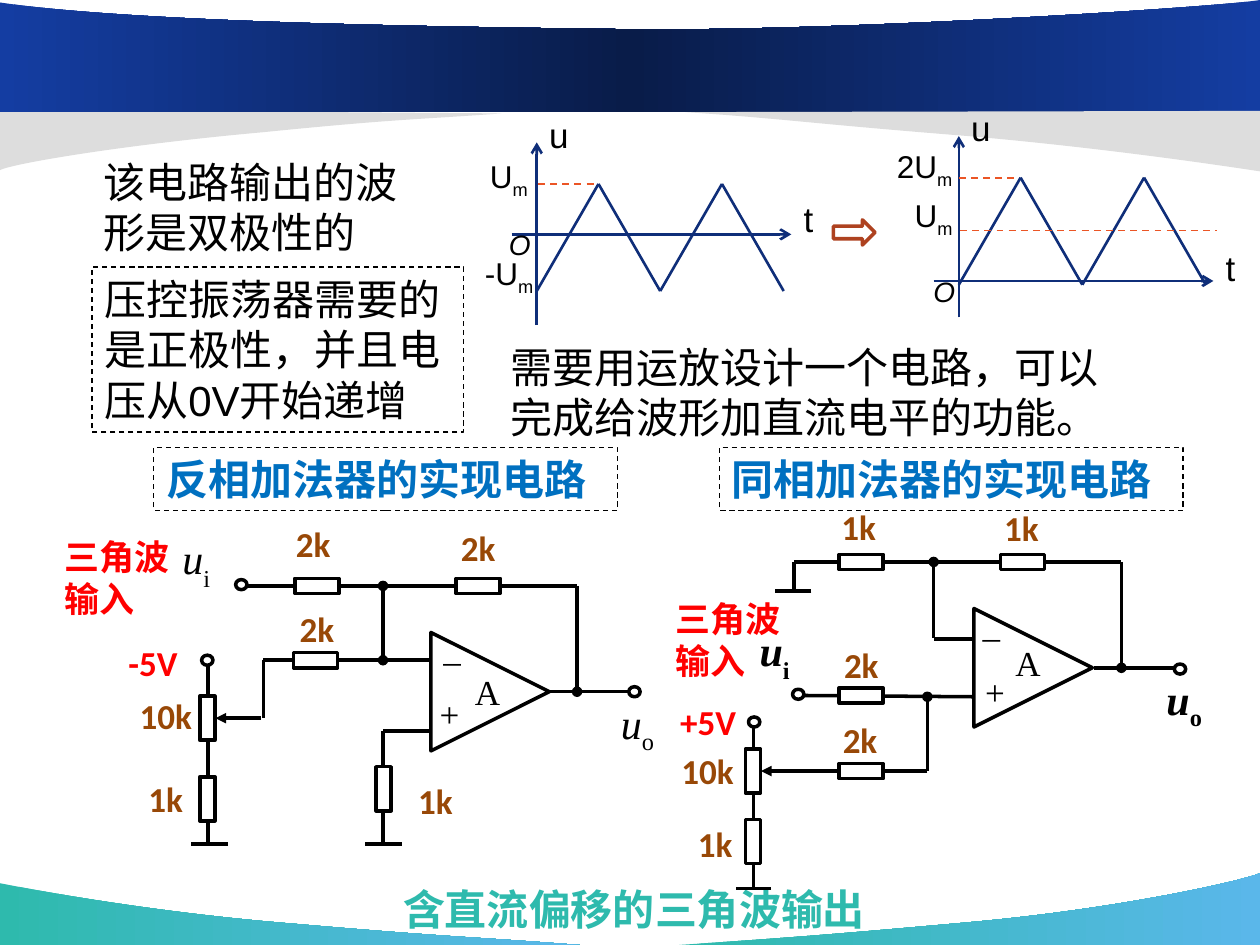
"""Build a slide on adding a DC offset to a triangle wave with two op-amp adders."""
from copy import deepcopy

from lxml import etree
from pptx import Presentation
from pptx import util as u
from pptx.dml import color
from pptx.enum import dml, shapes, text
from pptx.oxml import ns

THEME = dict(
    ink="000000", white="FFFFFF", navy="0F2E79", dash="EB5525", arrow="AE4220",
    red="FF0000", brown="984807", blue="0070C0", teal="2EBAAD", gray="DDDDDD",
    foot=("2EBAAD", "5AB7EA"), head=("143DA2", "0E2C74", "143DA2"), shade=-0.37,
    sans="Arial", label="Calibri", serif="Times New Roman",
    big=24, mid=20, small=18, tiny=16, thick=2, thin=0.75, fine=1, axis=1.5)
T = THEME

BANDS = [
    (T["foot"], (4.6, 7.5), [(3.84, 7.44, 3.58, 7.44, 2.32, 7.33),
                             (1.06, 7.23, 0.01, 7.01, 0, 7.01), (0, 7.5)]),
    (T["foot"], (5.39, 7.5), [(6.14, 7.45, 6.46, 7.43, 7.69, 7.32),
                              (8.92, 7.21, 9.9, 6.98, 10, 6.93), (10, 7.5)]),
    (T["gray"], (3.98, 0.9), [(3.31, 0.95, 3.18, 0.94, 2.08, 1.05),
                              (0.97, 1.15, 0.09, 1.3, 0, 1.35), (0, 0.87)]),
    (T["head"], (0, 0.89), [(10, 0.89), (10, 0), (9.64, 0.06, 6.53, 0.26, 4.87, 0.23),
                            (3.21, 0.21, 1.01, 0.17, 0, 0.02)]),
    (T["gray"], (5.44, 0.89), [(6.2, 0.94, 6.42, 0.98, 7.68, 1.08),
                               (8.94, 1.19, 9.99, 1.36, 10, 1.36), (10, 0.88)]),
]
NOTES = [
    ("该电路输出的波形是双极性的", (0.72, 1.19, 2.56, 0.91), {}),
    ("压控振荡器需要的是正极性，并且电压从0V开始递增", (0.73, 2.12, 2.95, 1.31), dict(frame=True)),
    ("需要用运放设计一个电路，可以完成给波形加直流电平的功能。", (3.95, 2.66, 4.95, 0.91), {}),
    ("含直流偏移的三角波输出", (3.1, 6.96, 4.18, 0.5), dict(tint="teal", bold=True)),
    ("反相加法器的实现电路", (1.22, 3.55, 3.68, 0.5), dict(tint="blue", bold=True, frame=True)),
    ("同相加法器的实现电路", (5.71, 3.55, 3.68, 0.5), dict(tint="blue", bold=True, frame=True)),
]
WAVES = [
    dict(x=4.26, zero=1.86, axis=(2.58, 1.13), swing=(2.31, 1.46), time=1.52, volt=0.85),
    dict(x=7.61, zero=2.23, axis=(2.52, 1.08), swing=(2.26, 1.41), time=1.91, volt=0.8),
]
LEVELS = [(4.27, 4.75, 1.46), (7.62, 9.66, 1.83), (7.61, 8.09, 1.41)]
MARKS = [
    ("U_m", (3.79, 1.2, 0.59, 0.4)), ("-U_m", (3.75, 1.97, 0.74, 0.4)),
    ("U_m", (7.16, 1.51, 0.59, 0.4)), ("2U_m", (7.02, 1.12, 0.74, 0.4)),
]
ZEROS = [(7.31, 2.13, 0.3, 0.37), (3.94, 1.76, 0.3, 0.37)]

LEFT = dict(
    wires=[((1.65, 5.28), (1.65, 6.7)), ((3.04, 5.8), (3.42, 5.8)), ((3.04, 5.8), (3.04, 6.7)),
           ((4.36, 5.49), (4.99, 5.49)), ((2.09, 5.24), (3.43, 5.24)),
           ((3.04, 4.65), (3.04, 5.24), "oval", "oval"), ((1.97, 4.65), (4.58, 4.65)),
           ((4.58, 4.65), (4.58, 5.49), None, "oval"), ((3.19, 6.7), (2.9, 6.7)),
           ((1.81, 6.7), (1.52, 6.7)), ((2.09, 5.24), (2.09, 5.7))],
    flat=[(2.33, 5.18), (3.62, 4.59), (2.34, 4.59)],
    tall=[(2.87, 6.2), (1.47, 6.28)], pot=(1.47, 5.64), tap=2.07,
    pins=[(4.99, 5.45), (1.87, 4.6), (1.6, 5.2)],
    amp=(3.42, 5.02), minus=(3.42, 5.02), plus=(3.39, 5.45), a=(3.67, 5.27),
    input=(0.41, 4.2), ui=(1.35, 4.18, 0.43, 0.5), uo=(4.83, 5.49, 0.5, 0.5), bold=False,
    volts=("-5V", 0.92, 5.04),
    ohms=[("1k", 3.22, 6.14), ("2k", 2.25, 4.1), ("2k", 3.56, 4.13), ("2k", 2.28, 4.77),
          ("1k", 1.08, 6.12), ("10k", 1.01, 5.46)])
RIGHT = dict(
    wires=[((5.98, 5.77), (5.98, 7.04)), ((7.41, 5.07), (7.79, 5.07)), ((8.68, 5.3), (9.32, 5.3)),
           ((6.38, 5.52), (7.74, 5.53)), ((7.41, 4.46), (7.41, 5.06), "oval"),
           ((6.3, 4.46), (8.9, 4.46)), ((8.9, 4.46), (8.9, 5.3), None, "oval"),
           ((6.44, 4.69), (6.15, 4.69)), ((6.12, 7.05), (5.84, 7.05)),
           ((6.3, 4.46), (6.3, 4.69)), ((7.36, 5.53), (7.36, 6.12), "oval")],
    flat=[(6.66, 5.46), (7.94, 4.4), (6.66, 4.4)], late=[(6.66, 6.06)],
    tall=[(5.8, 6.62)], pot=(5.8, 6.06), tap=7.36,
    pins=[(9.32, 5.27), (6.29, 5.47), (5.94, 5.69)],
    amp=(7.73, 4.83), minus=(7.7, 4.83), plus=(7.72, 5.27), a=(7.96, 5.04),
    input=(5.26, 4.69), ui=(5.93, 4.91, 0.45, 0.5), uo=(9.16, 5.3, 0.5, 0.5), bold=True,
    volts=("+5V", 5.3, 5.51),
    ohms=[("1k", 6.58, 3.96), ("2k", 6.6, 5.06), ("2k", 6.59, 5.65), ("1k", 7.87, 3.97),
          ("1k", 5.44, 6.48), ("10k", 5.31, 5.9)])


def rgb(code):
    return color.RGBColor.from_string(code)


def inch(vals):
    return [u.Inches(v) for v in vals]


def blend(fill, codes):
    fill.gradient()
    fill.gradient_angle = 0
    if len(codes) == 3:
        last = fill._xPr.findall(".//" + ns.qn("a:gs"))[-1]
        last.addprevious(deepcopy(last))
    for i, (stop, code) in enumerate(zip(fill.gradient_stops, codes)):
        stop.color.rgb = rgb(code)
        stop.position = i / (len(codes) - 1)
        if len(codes) == 3 and i == 1:
            stop.color.brightness = T["shade"]


def style(shape, fill=None, line=None, width=T["thick"], dash=False):
    shape.shadow.inherit = False
    if isinstance(fill, tuple):
        blend(shape.fill, fill)
    elif fill:
        shape.fill.solid()
        shape.fill.fore_color.rgb = rgb(fill)
    else:
        shape.fill.background()
    if line:
        shape.line.color.rgb = rgb(line)
        shape.line.width = u.Pt(width)
        if dash:
            shape.line.dash_style = dml.MSO_LINE.DASH
    else:
        shape.line.fill.background()
    return shape


def form(host, kind, box, **look):
    return style(host.add_shape(kind, *inch(box)), **look)


def outline(host, start, steps, **look):
    pen = host.build_freeform(*inch(start))
    pen.add_line_segments([inch(s[i:i + 2]) for s in steps for i in range(0, len(s), 2)], close=True)
    shape = pen.convert_to_shape()
    legs = iter(shape._element.findall(".//" + ns.qn("a:lnTo")))
    for step in steps:
        first, *rest = [next(legs) for _ in range(len(step) // 2)]
        if rest:
            curve = etree.Element(ns.qn("a:cubicBezTo"))
            first.addprevious(curve)
            for leg in (first, *rest):
                curve.append(leg[0])
                leg.getparent().remove(leg)
    return style(shape, **look)


def link(host, start, end, head=None, tail=None, tint="ink", width=T["thick"], dash=False):
    wire = host.add_connector(shapes.MSO_CONNECTOR.STRAIGHT, *inch(start), *inch(end))
    wire.line.color.rgb = rgb(T[tint])
    wire.line.width = u.Pt(width)
    if dash:
        wire.line.dash_style = dml.MSO_LINE.DASH
    props = wire._element.spPr
    for tag, tip in (("a:headEnd", head), ("a:tailEnd", tail)):
        if tip:
            etree.SubElement(props.find(ns.qn("a:ln")), ns.qn(tag), type=tip)
    etree.SubElement(props, ns.qn("a:effectLst"))
    return wire


def write(host, words, box, size="big", font="sans", tint="ink", bold=False, slant=False,
          drop=-25, wrap=True, middle=False, frame=False):
    if frame:
        shape = form(host, shapes.MSO_SHAPE.RECTANGLE, box, line=T["ink"], width=T["thin"], dash=True)
    else:
        shape = host.add_textbox(*inch(box))
    body = shape.text_frame
    body.word_wrap = wrap
    body.auto_size = text.MSO_AUTO_SIZE.SHAPE_TO_FIT_TEXT
    body.vertical_anchor = text.MSO_ANCHOR.MIDDLE if middle else text.MSO_ANCHOR.TOP
    para = body.paragraphs[0]
    para.alignment = text.PP_ALIGN.LEFT
    for i, part in enumerate(words.split("_")):
        run = para.add_run()
        run.text = part
        face = run.font
        face.name, face.size, face.bold = T[font], u.Pt(T[size]), bold
        face.italic = slant and i == 0
        face.color.rgb = rgb(T[tint])
        if i:
            face._element.set("baseline", str(drop * 1000))


def wave(host, x, zero, axis, swing, time, volt):
    pen = dict(tint="navy", width=T["axis"])
    link(host, (x - 0.2, zero), (x + 2.02, zero), tail="arrow", **pen)
    link(host, (x, axis[0]), (x, axis[1]), tail="arrow", **pen)
    peaks = [(x + 0.49 * i, swing[i % 2]) for i in range(5)]
    for start, end in zip(peaks, peaks[1:]):
        link(host, start, end, **pen)
    write(host, "t", (x + 2.02, time, 0.3, 0.44), size="mid")
    write(host, "u", (x, volt, 0.34, 0.44), size="mid")


def ohm(host, spot, turn=0):
    part = form(host, shapes.MSO_SHAPE.RECTANGLE, (*spot, 0.35, 0.12), fill=T["white"], line=T["ink"])
    part.rotation = turn
    return part


def adder(host, net):
    for wire in net["wires"]:
        link(host, *wire)
    for spot in net["flat"]:
        ohm(host, spot)
    for spot in net["tall"]:
        ohm(host, spot, 90)
    x, y = net["pot"]
    pot = ohm(host, (x, y), 90)
    tap = link(host, (net["tap"], y + 0.06), (x, y), tail="triangle")
    tap.end_connect(pot, 0)
    tap.end_x, tap.end_y = inch((x + 0.24, y + 0.06))
    for spot in net.get("late", []):
        ohm(host, spot)
    for spot in net["pins"]:
        form(host, shapes.MSO_SHAPE.OVAL, (*spot, 0.09, 0.08), line=T["ink"])
    x, y = net["amp"]
    outline(host, (x, y), [(x + 0.94, y + 0.47), (x, y + 0.94)], fill=T["white"], line=T["ink"])
    sign = dict(size="mid", font="serif", wrap=False)
    write(host, "–", (*net["minus"], 0.34, 0.43), middle=True, **sign)
    write(host, "+", (*net["plus"], 0.36, 0.43), middle=True, **sign)
    write(host, "A", (*net["a"], 0.4, 0.43), **sign)
    port = dict(font="serif", slant=True, bold=net["bold"], wrap=False)
    write(host, "u_i", net["ui"], drop=-30, **port)
    write(host, "u_o", net["uo"], **port)
    write(host, "三角波输入", (*net["input"], 1.22, 0.77), size="mid", tint="red", bold=True)
    tag = dict(size="mid", font="label", bold=True)
    words, x, y = net["volts"]
    write(host, words, (x, y, 0.78, 0.44), tint="red", **tag)
    for words, x, y in net["ohms"]:
        write(host, words, (x, y, 0.63 if words == "10k" else 0.55, 0.44), tint="brown", **tag)


def main():
    deck = Presentation()
    deck.slide_width, deck.slide_height = inch((10, 7.5))
    page = deck.slides.add_slide(deck.slide_layouts[6]).shapes
    for fill, start, steps in BANDS:
        outline(page, start, steps, fill=fill)
    for words, box, look in NOTES:
        write(page, words, box, **look)
    for plot in WAVES:
        wave(page.add_group_shape().shapes, **plot)
    arrow = form(page, shapes.MSO_SHAPE.DOWN_ARROW, (6.68, 1.68, 0.2, 0.33), line=T["arrow"])
    arrow.rotation = 270
    for x, end, y in LEVELS:
        link(page, (x, y), (end, y), tint="dash", width=T["fine"], dash=True)
    for words, box in MARKS:
        write(page, words, box, size="small")
    for box in ZEROS:
        write(page, "O", box, size="tiny", slant=True)
    for net in (LEFT, RIGHT):
        adder(page.add_group_shape().shapes, net)
    deck.save("out.pptx")


if __name__ == "__main__":
    main()
